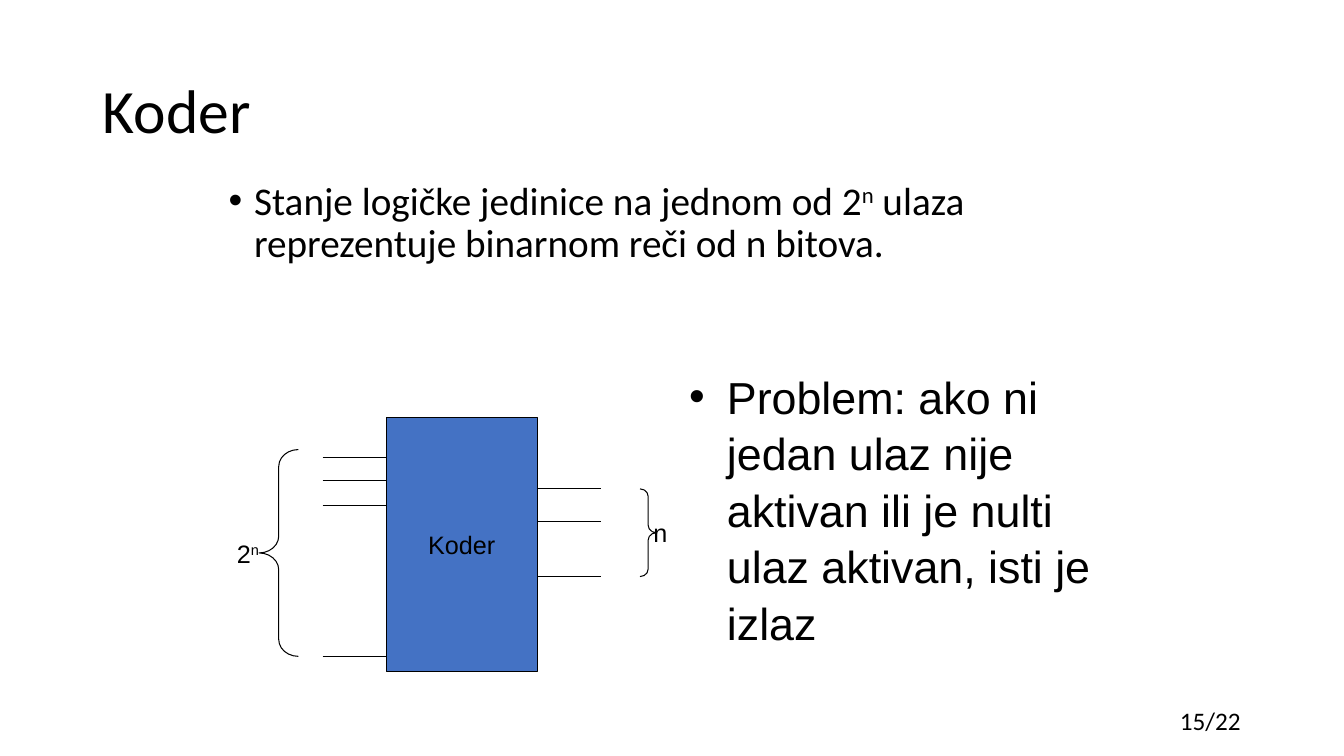
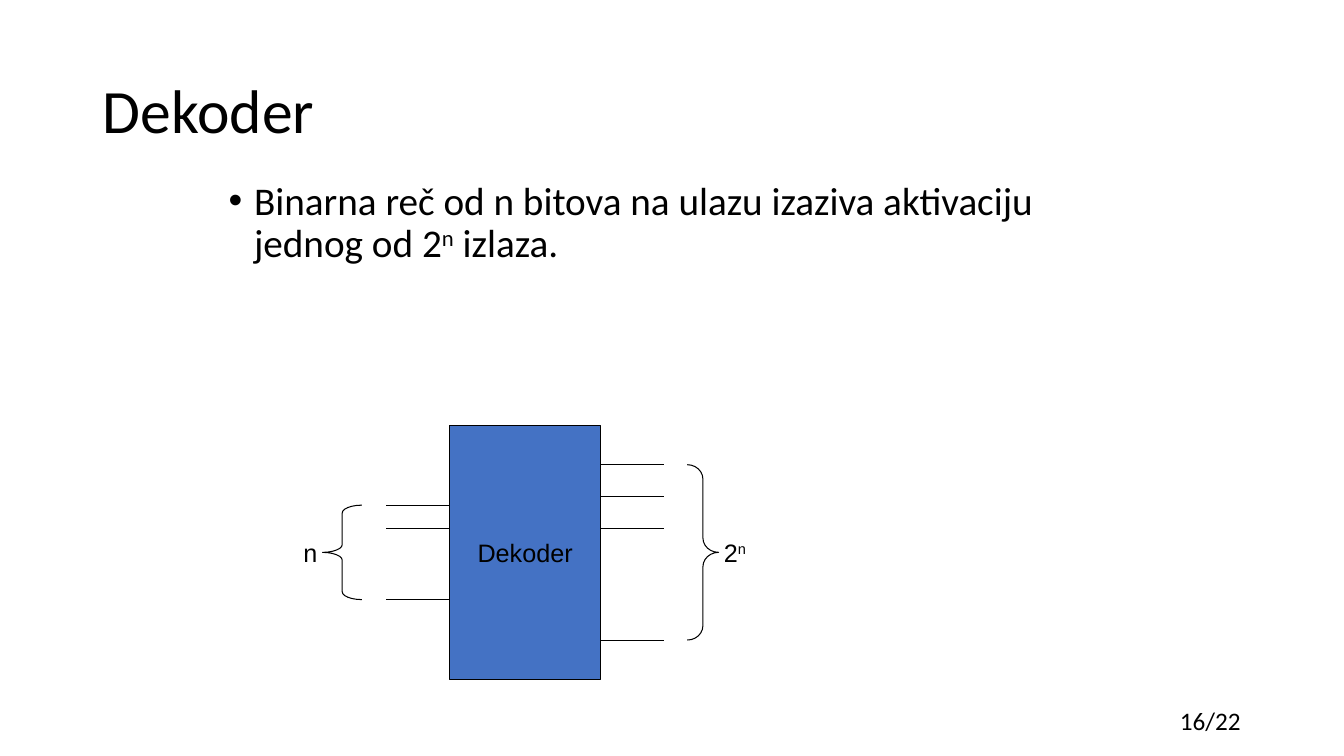
from dataclasses import dataclass

from lxml import etree
from pptx import Presentation
from pptx.dml.color import RGBColor
from pptx.enum.shapes import MSO_CONNECTOR, MSO_SHAPE
from pptx.enum.text import MSO_ANCHOR, MSO_AUTO_SIZE, PP_ALIGN
from pptx.oxml.ns import qn
from pptx.util import Cm, Pt

LEFT, CENTER, RIGHT = PP_ALIGN.LEFT, PP_ALIGN.CENTER, PP_ALIGN.RIGHT
MIDDLE = MSO_ANCHOR.MIDDLE
NO_FIT = MSO_AUTO_SIZE.NONE
STRAIGHT = MSO_CONNECTOR.STRAIGHT
RECTANGLE = MSO_SHAPE.RECTANGLE
LEFT_BRACE, RIGHT_BRACE = MSO_SHAPE.LEFT_BRACE, MSO_SHAPE.RIGHT_BRACE


@dataclass(frozen=True)
class Theme:
    """Colours, fonts and type sizes of the deck."""
    ink: RGBColor = RGBColor(0, 0, 0)
    block: RGBColor = RGBColor(0x44, 0x72, 0xC4)
    text_font: str = "Calibri"
    diagram_font: str = "Arial"
    title: Pt = Pt(44)
    note: Pt = Pt(32)
    body: Pt = Pt(28)
    label: Pt = Pt(18)
    line: Pt = Pt(0.75)


THEME = Theme()
TOTAL_SLIDES = 22
BLOCK_WIDTH, BLOCK_HEIGHT = 3.81, 6.4
PIN_LENGTH = 1.6
LABEL_SIZE = 1

# Diagram positions are in cm; ^ in a text switches superscript on and off.
# A brace holds: preset, left, top, width, height, curl, label, label centre.
SLIDES = [
    {
        "number": 15,
        "title": "Koder",
        "body": "Stanje logičke jedinice na jednom od 2^n^ ulaza "
                "reprezentuje binarnom reči od n bitova.",
        "note": "Problem: ako ni jedan ulaz nije aktivan ili je nulti "
                "ulaz aktivan, isti je izlaz",
        "block": (9.73, 10.52),
        "inputs": (11.53, 12.12, 12.73, 16.54),
        "outputs": (12.32, 13.13, 14.53),
        "braces": [
            (LEFT_BRACE, 6.53, 11.33, 0.99, 5.21, 0.43, "2^n", 6.25),
            (RIGHT_BRACE, 16.13, 12.32, 0.41, 2.21, 0.46, "n", 16.64),
        ],
    },
    {
        "number": 16,
        "title": "Dekoder",
        "body": "Binarna reč od n bitova na ulazu izaziva aktivaciju "
                "jednog od 2^n^ izlaza.",
        "note": None,
        "block": (11.33, 10.72),
        "inputs": (12.73, 13.31, 15.11),
        "outputs": (11.71, 12.52, 13.31, 16.13),
        "braces": [
            (LEFT_BRACE, 8.13, 12.73, 0.99, 2.38, 0.2, "n", 7.82),
            (RIGHT_BRACE, 17.32, 11.71, 0.79, 4.42, 0.46, "2^n", 18.52),
        ],
    },
]


def write(box, text, size, font, align=LEFT):
    """Write one paragraph, with superscripts between ^ marks."""
    box.text_frame.auto_size = NO_FIT
    paragraph = box.text_frame.paragraphs[0]
    paragraph.alignment = align
    for index, piece in enumerate(text.split("^")):
        run = paragraph.add_run()
        run.text = piece
        run.font.size = size
        run.font.name = font
        run.font.color.rgb = THEME.ink
        if index % 2:
            run.font._element.set("baseline", "30000")
    return paragraph


def add_bullet(paragraph, indent, line_spacing, space_before):
    """Give a paragraph a hanging bullet and its spacing."""
    paragraph.line_spacing = line_spacing
    paragraph.space_before = space_before
    properties = paragraph._p.get_or_add_pPr()
    properties.set("marL", str(indent))
    properties.set("indent", str(-indent))
    etree.SubElement(properties, qn("a:buFont")).set("typeface", "Arial")
    etree.SubElement(properties, qn("a:buChar")).set("char", "•")


deck = Presentation()
deck.slide_width, deck.slide_height = Cm(33.87), Cm(19.05)
title_and_content = deck.slide_layouts[1]

for content in SLIDES:
    slide = deck.slides.add_slide(title_and_content)
    shapes = slide.shapes

    title = shapes.title
    title.left, title.top = Cm(2.34), Cm(1.02)
    title.width, title.height = Cm(29.21), Cm(3.68)
    title.text_frame.vertical_anchor = MIDDLE
    heading = write(title, content["title"], THEME.title, THEME.text_font)
    heading.line_spacing = 0.9

    body = slide.placeholders[1]
    body.left, body.top = Cm(5.51), Cm(4.45)
    body.width, body.height = Cm(21.64), Cm(4.47)
    statement = write(body, content["body"], THEME.body, THEME.text_font)
    add_bullet(statement, Cm(0.64), 0.9, Pt(10))

    page = shapes.add_textbox(Cm(23.72), Cm(17.65), Cm(7.8), Cm(1.02))
    page.text_frame.word_wrap = True
    write(page, f"{content['number']}/{TOTAL_SLIDES}", THEME.label,
          THEME.text_font, RIGHT)

    block_left, block_top = content["block"]
    block = shapes.add_shape(RECTANGLE, Cm(block_left), Cm(block_top),
                             Cm(BLOCK_WIDTH), Cm(BLOCK_HEIGHT))
    block.shadow.inherit = False
    block.fill.solid()
    block.fill.fore_color.rgb = THEME.block
    block.line.color.rgb = THEME.ink
    block.line.width = THEME.line
    block.text_frame.vertical_anchor = MIDDLE
    block.text_frame.word_wrap = False
    write(block, content["title"], THEME.label, THEME.diagram_font, CENTER)

    pin_sides = [(block_left - PIN_LENGTH, content["inputs"]),
                 (block_left + BLOCK_WIDTH, content["outputs"])]
    for pin_left, heights in pin_sides:
        for y in heights:
            pin = shapes.add_connector(STRAIGHT, Cm(pin_left), Cm(y),
                                       Cm(pin_left + PIN_LENGTH), Cm(y))
            pin.line.color.rgb = THEME.ink
            pin.line.width = THEME.line
            etree.SubElement(pin._element.spPr, qn("a:effectLst"))

    for preset, left, top, width, height, curl, count, center in content["braces"]:
        brace = shapes.add_shape(preset, Cm(left), Cm(top),
                                 Cm(width), Cm(height))
        brace.adjustments[0] = curl
        brace.shadow.inherit = False
        brace.fill.background()
        brace.line.color.rgb = THEME.ink
        brace.line.width = THEME.line

        label = shapes.add_textbox(Cm(center - LABEL_SIZE / 2),
                                   Cm(top + (height - LABEL_SIZE) / 2),
                                   Cm(LABEL_SIZE), Cm(LABEL_SIZE))
        frame = label.text_frame
        frame.margin_left = frame.margin_right = 0
        frame.margin_top = frame.margin_bottom = 0
        frame.vertical_anchor = MIDDLE
        frame.word_wrap = False
        write(label, count, THEME.label, THEME.diagram_font, CENTER)

    if content["note"]:
        note = shapes.add_textbox(Cm(17.12), Cm(9.12), Cm(11.81), Cm(8.61))
        note.text_frame.word_wrap = True
        problem = write(note, content["note"], THEME.note, THEME.diagram_font)
        add_bullet(problem, Cm(0.95), 1.05, Pt(6.4))

deck.save("out.pptx")
